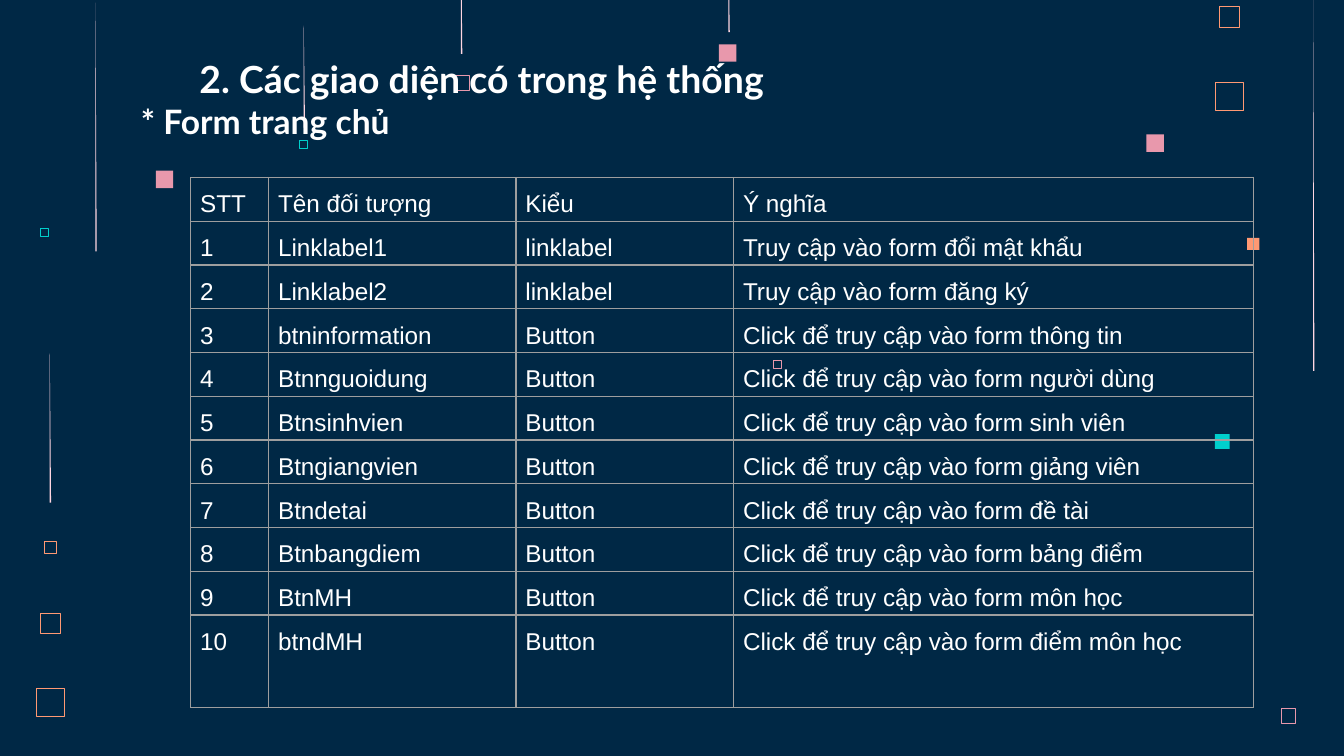
from dataclasses import dataclass
from typing import Any, Optional

from lxml.etree import SubElement
from pptx import Presentation
from pptx.dml.color import RGBColor
from pptx.enum.shapes import MSO_SHAPE as Shape
from pptx.enum.text import PP_ALIGN as Align
from pptx.oxml.ns import qn
from pptx.util import Inches, Pt


@dataclass(frozen=True)
class Theme:
    navy: str = "002845"
    white: str = "FFFFFF"
    pink: str = "E898AC"
    blush: str = "FFD6E1"
    teal: str = "00CFCC"
    orange: str = "FF9973"
    grid: str = "9E9E9E"
    heading_font: str = "Lato"
    table_font: str = "Arial"
    heading_size: int = 20
    subheading_size: int = 18
    table_size: int = 13
    grid_width: float = 0.75


@dataclass(frozen=True)
class Square:
    x: float
    y: float
    side: float
    color: str
    line: Optional[float] = None  # outline in points; filled when absent


@dataclass(frozen=True)
class Streak:
    x: float
    top: float
    height: float


T = Theme()
SLIDE_WIDTH = 10
SLIDE_HEIGHT = SLIDE_WIDTH * 9 / 16

SQUARES = [
    Square(1.16, 1.27, 0.13, T.pink),
    Square(8.53, 1.0, 0.13, T.pink),
    Square(5.75, 2.68, 0.06, T.pink, 0.11),
    Square(9.53, 5.27, 0.11, T.pink, 0.23),
    Square(0.3, 1.7, 0.06, T.teal, 0.23),
    Square(9.04, 3.23, 0.11, T.teal),
    Square(9.04, 0.61, 0.21, T.orange, 0.45),
    Square(9.07, 0.05, 0.15, T.orange, 0.32),
    Square(9.28, 1.77, 0.09, T.orange),
    Square(3.38, 0.56, 0.11, T.pink, 0.23),
    Square(5.35, 0.33, 0.13, T.pink),
    Square(0.27, 5.12, 0.21, T.orange, 0.45),
    Square(0.3, 4.56, 0.15, T.orange, 0.32),
    Square(0.33, 4.03, 0.09, T.orange, 0.2),
    Square(2.23, 1.04, 0.06, T.teal, 0.23),
]
STREAKS = [
    Streak(3.43, -0.58, 0.98),
    Streak(5.42, -0.37, 0.61),
    Streak(0.37, 2.63, 1.11),
    Streak(9.77, 0, 2.76),
    Streak(0.71, 0.02, 1.85),
    Streak(2.26, 0.19, 0.76),
]
STREAK_WIDTH = 0.01

HEADER = ("STT", "Tên đối tượng", "Kiểu", "Ý nghĩa")
CONTROLS = [
    ("Linklabel1", "linklabel", "Truy cập vào form đổi mật khẩu"),
    ("Linklabel2", "linklabel", "Truy cập vào form đăng ký"),
]
BUTTONS = [
    ("btninformation", "thông tin"),
    ("Btnnguoidung", "người dùng"),
    ("Btnsinhvien", "sinh viên"),
    ("Btngiangvien", "giảng viên"),
    ("Btndetai", "đề tài"),
    ("Btnbangdiem", "bảng điểm"),
    ("BtnMH", "môn học"),
    ("btndMH", "điểm môn học"),
]
CONTROLS += [(name, "Button ", f"Click để truy cập vào form {form}")
             for name, form in BUTTONS]
ROWS = [HEADER] + [(str(i), *control) for i, control in enumerate(CONTROLS, 1)]
COL_WIDTHS = (0.58, 1.84, 1.62, 3.87)
ROW_HEIGHT, LAST_ROW_HEIGHT = 0.32, 0.69


def rgb(color: str) -> RGBColor:
    return RGBColor.from_string(color)


def apply(target: Any, values: dict[str, Any]) -> None:
    for name, value in values.items():
        setattr(target, name, value)


def fill_solid(part: Any, color: str) -> None:
    part.fill.solid()
    part.fill.fore_color.rgb = rgb(color)


def add_text(p: Any, text: str, font: str, size: float, bold: bool = False) -> None:
    r = p.add_run()
    r.text = text
    apply(r.font, {"name": font, "size": Pt(size), "bold": bold})
    r.font.color.rgb = rgb(T.white)


def draw_square(s: Any, sq: Square) -> None:
    sp = s.shapes.add_shape(Shape.RECTANGLE, Inches(sq.x), Inches(sq.y),
                            Inches(sq.side), Inches(sq.side))
    sp.shadow.inherit = False
    if sq.line is None:
        fill_solid(sp, sq.color)
        sp.line.fill.background()
    else:
        sp.fill.background()
        sp.line.color.rgb = rgb(sq.color)
        sp.line.width = Pt(sq.line)


def draw_streak(s: Any, streak: Streak) -> None:
    """A needle that tapers to a point at its top."""
    left, right = Inches(streak.x), Inches(streak.x + STREAK_WIDTH)
    top, bottom = Inches(streak.top), Inches(streak.top + streak.height)
    builder = s.shapes.build_freeform(left, top)
    builder.add_line_segments([(left, bottom), (right, bottom)], close=True)
    sp = builder.convert_to_shape()
    sp.shadow.inherit = False
    fill_solid(sp, T.blush)
    sp.line.fill.background()


def draw_headings(s: Any) -> None:
    sp = s.shapes.add_textbox(Inches(0.83), Inches(0.32), Inches(5.39), Inches(0.87))
    tf = sp.text_frame
    margins = ("margin_left", "margin_top", "margin_right", "margin_bottom")
    apply(tf, {"word_wrap": True, **dict.fromkeys(margins, Inches(0.1))})
    headings = [
        ("2. Các giao diện có trong hệ thống", T.heading_size, Align.CENTER),
        ("* Form trang chủ", T.subheading_size, Align.LEFT),
    ]
    for i, (text, size, align) in enumerate(headings):
        p = tf.add_paragraph() if i else tf.paragraphs[0]
        p.alignment = align
        pPr = p._p.get_or_add_pPr()
        pPr.set("marL", str(Inches(0.5)))
        pPr.set("indent", str(Inches(-0.38)))
        add_text(p, text, T.heading_font, size, bold=True)


def format_cell(cell: Any, text: str) -> None:
    apply(cell, {"margin_left": Inches(0.07), "margin_right": Inches(0.07),
                 "margin_top": 0, "margin_bottom": 0})
    tcPr = cell._tc.get_or_add_tcPr()
    for side in ("lnL", "lnR", "lnT", "lnB"):
        ln = SubElement(tcPr, qn(f"a:{side}"), w=str(Pt(T.grid_width)))
        solid = SubElement(ln, qn("a:solidFill"))
        SubElement(solid, qn("a:srgbClr"), val=T.grid)
    cell.fill.background()
    p = cell.text_frame.paragraphs[0]
    apply(p, {"alignment": Align.JUSTIFY, "line_spacing": 1.5})
    add_text(p, text, T.table_font, T.table_size)


def draw_table(s: Any) -> None:
    heights = [ROW_HEIGHT] * (len(ROWS) - 1) + [LAST_ROW_HEIGHT]
    table = s.shapes.add_table(len(ROWS), len(COL_WIDTHS), Inches(1.42), Inches(1.32),
                               Inches(sum(COL_WIDTHS)), Inches(sum(heights))).table
    apply(table, {"first_row": False, "horz_banding": False})
    for col, width in zip(table.columns, COL_WIDTHS):
        col.width = Inches(width)
    for row, height, texts in zip(table.rows, heights, ROWS):
        row.height = Inches(height)
        for cell, text in zip(row.cells, texts):
            format_cell(cell, text)


def main() -> None:
    prs = Presentation()
    apply(prs, {"slide_width": Inches(SLIDE_WIDTH),
                "slide_height": Inches(SLIDE_HEIGHT)})
    s = prs.slides.add_slide(prs.slide_layouts[6])
    fill_solid(s.background, T.navy)

    # Background decoration
    for sq in SQUARES:
        draw_square(s, sq)
    for streak in STREAKS:
        draw_streak(s, streak)

    # Content
    draw_headings(s)
    draw_table(s)
    prs.save("out.pptx")


if __name__ == "__main__":
    main()
